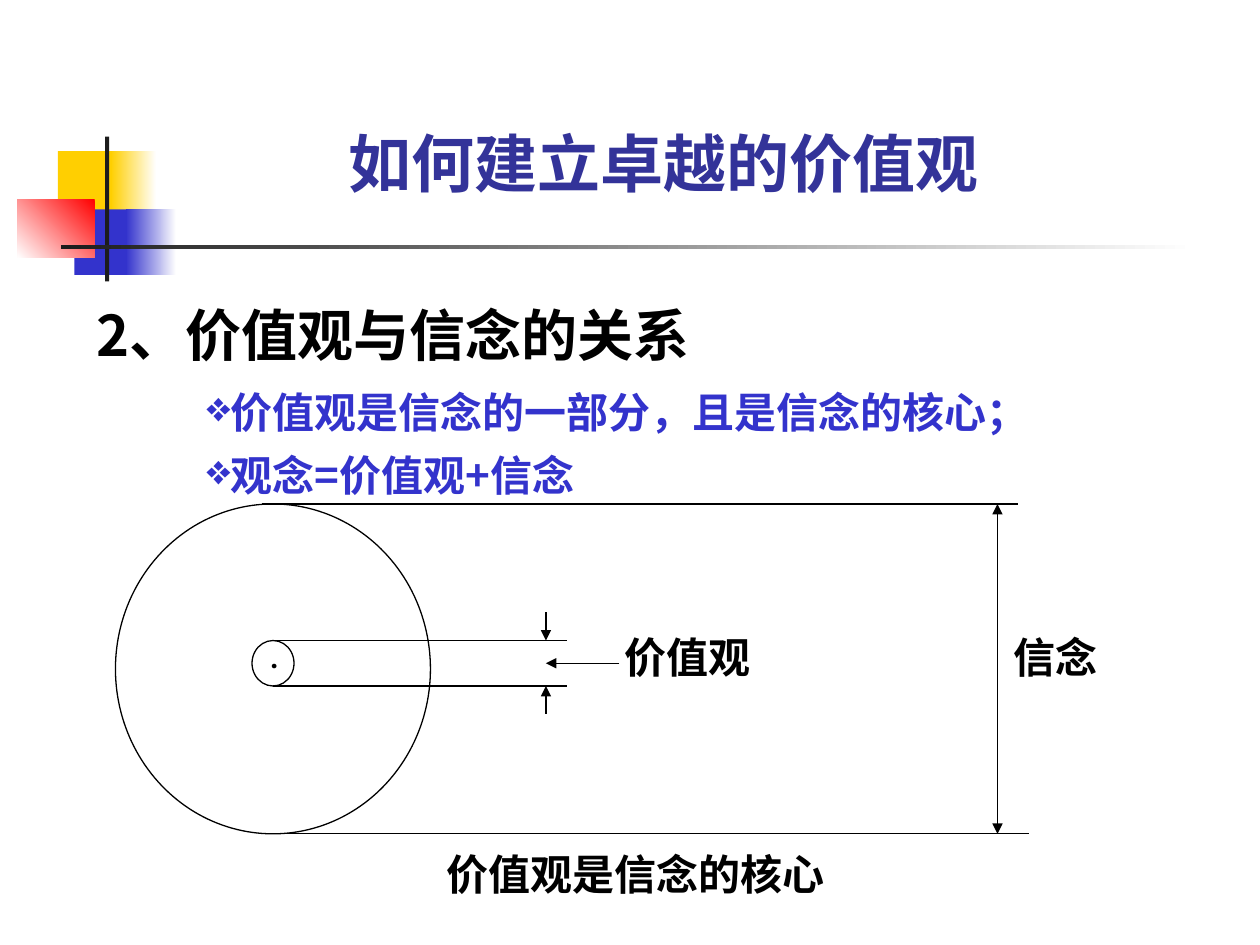
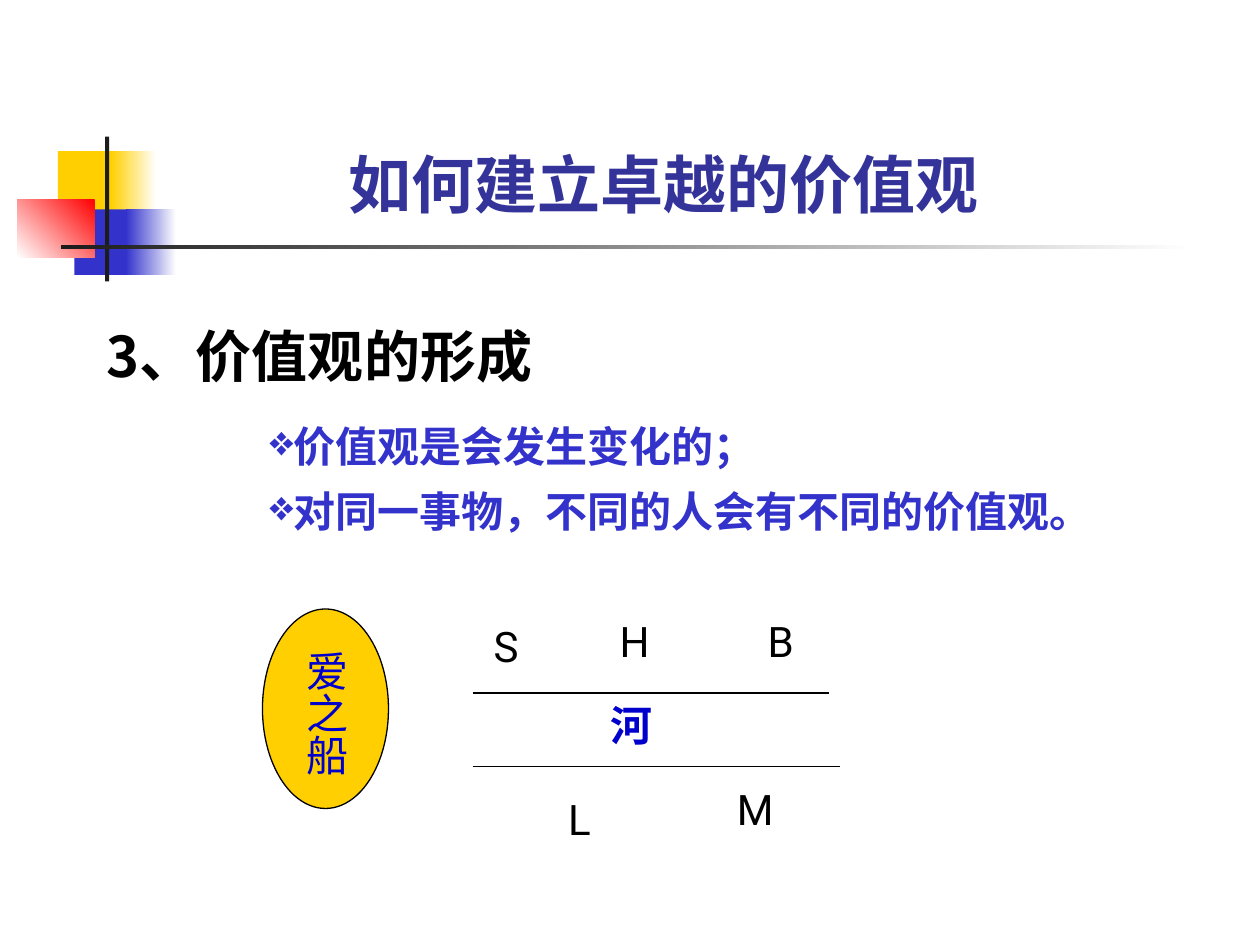
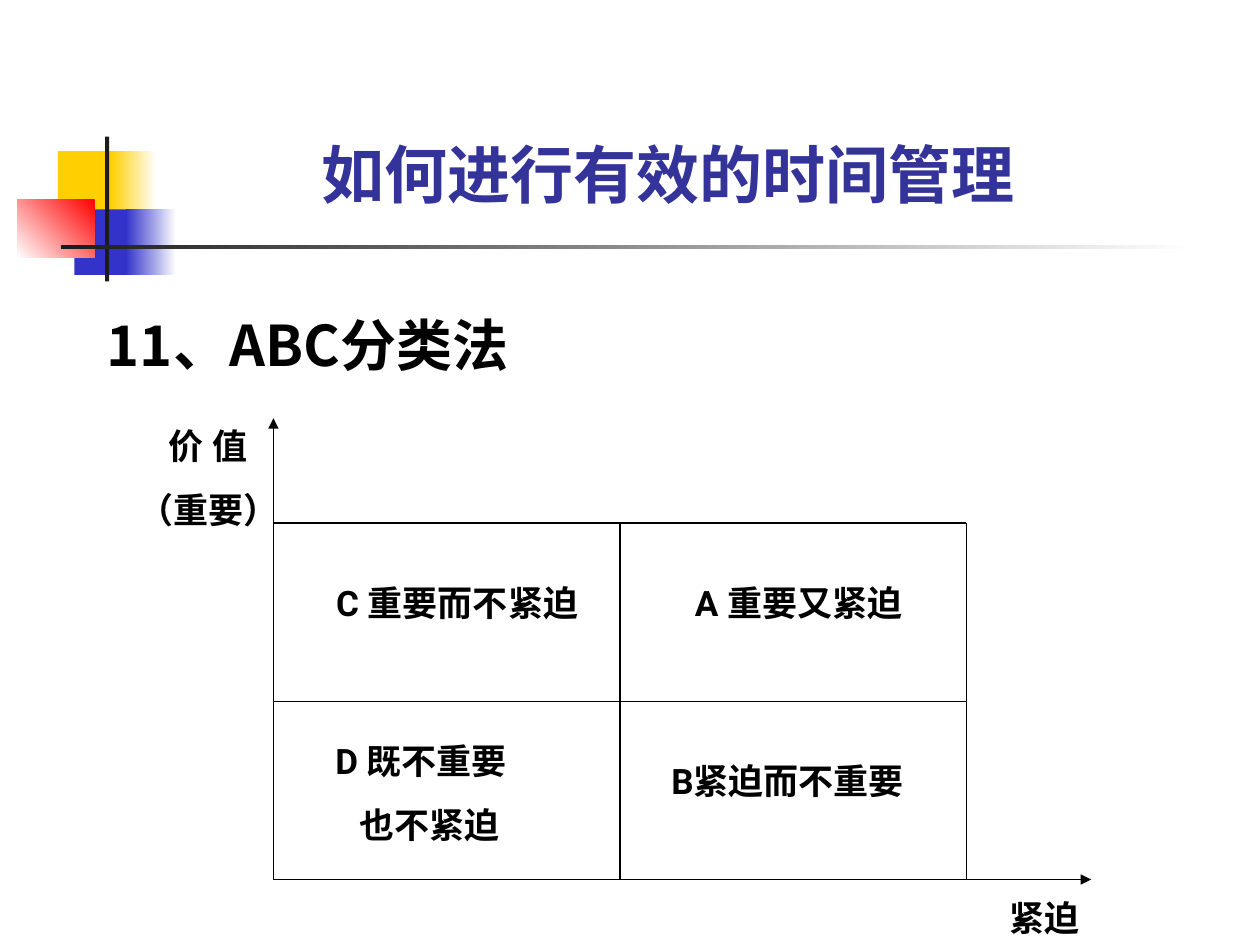
from lxml import etree
from pptx import Presentation
from pptx.dml.color import RGBColor
from pptx.enum.shapes import MSO_CONNECTOR, MSO_SHAPE
from pptx.enum.text import MSO_ANCHOR, PP_ALIGN
from pptx.oxml.ns import qn
from pptx.util import Pt

RECT, OVAL = MSO_SHAPE.RECTANGLE, MSO_SHAPE.OVAL
STRAIGHT = MSO_CONNECTOR.STRAIGHT
LEFT, CENTER = PP_ALIGN.LEFT, PP_ALIGN.CENTER
TOP, MIDDLE = MSO_ANCHOR.TOP, MSO_ANCHOR.MIDDLE

COLORS = {
    "black": "000000", "white": "FFFFFF", "charcoal": "1C1C1C",
    "yellow": "FFCF01", "blue": "3333CC", "red": "FF0000",
    "title": "333399", "river": "0000CC",
}
BODY_FONT, HEADING_FONT = "Roboto", "Noto Sans CJK SC"


def rgb(name):
    return RGBColor.from_string(COLORS[name])


class Deck:
    """Holds the shared style and the current slide; lengths are points."""

    def __init__(self):
        self.prs = Presentation()
        self.prs.slide_width, self.prs.slide_height = Pt(720), Pt(540)
        self.slide = None

    def new_slide(self, title, title_box, heading, heading_box):
        self.slide = self.prs.slides.add_slide(self.prs.slide_layouts[6])
        self.ornament()
        self.text([title], title_box, size=36, color="title", bold=True,
                  align=CENTER, anchor=MIDDLE)
        self.text([heading], heading_box, size=32, bold=True,
                  font=HEADING_FONT, before=8)

    def ornament(self):
        """Coloured squares with the crossing bars."""
        self.shape(RECT, (33.1, 86.4, 34.5, 37.4), "yellow")
        self.shape(RECT, (63.4, 86.4, 25.9, 37.4), ("white", "yellow", 180))
        self.shape(RECT, (42.5, 119.7, 33.1, 37.4), "blue")
        self.shape(RECT, (72, 119.7, 28.8, 37.4), ("white", "blue", 180))
        self.shape(RECT, (9.9, 113.8, 44.2, 33.4), ("red", "white", 225))
        self.shape(RECT, (60, 78, 2.4, 82.8), "charcoal")
        self.shape(RECT, (34.8, 140, 648, 2.6), ("white", "charcoal", 180))

    def shape(self, kind, box, fill=None, line=None):
        """Fill is a colour name, (start, end, angle) or None."""
        shape = self.slide.shapes.add_shape(kind, *map(Pt, box))
        shape.shadow.inherit = False
        if fill is None:
            shape.fill.background()
        elif isinstance(fill, str):
            shape.fill.solid()
            shape.fill.fore_color.rgb = rgb(fill)
        else:
            *ends, angle = fill
            shape.fill.gradient()
            shape.fill.gradient_angle = angle
            for stop, name in zip(shape.fill.gradient_stops, ends):
                stop.color.rgb = rgb(name)
        if line:
            shape.line.color.rgb = rgb(line)
            shape.line.width = Pt(0.75)
        else:
            shape.line.fill.background()
        return shape

    def line(self, x1, y1, x2, y2, arrows=()):
        """Arrows may hold headEnd (start) and tailEnd (finish)."""
        line = self.slide.shapes.add_connector(STRAIGHT, *map(Pt, (x1, y1, x2, y2)))
        line.line.color.rgb = rgb("black")
        line.line.width = Pt(0.75)
        properties = line._element.spPr
        for end in arrows:
            etree.SubElement(properties.find(qn("a:ln")), qn("a:" + end), type="triangle")
        etree.SubElement(properties, qn("a:effectLst"))

    def text(self, lines, box, anchor=TOP, inset=True, **style):
        frame = self.slide.shapes.add_textbox(*map(Pt, box)).text_frame
        frame.word_wrap = True
        frame.vertical_anchor = anchor
        if not inset:
            frame.margin_left = frame.margin_right = 0
            frame.margin_top = frame.margin_bottom = 0
        self.fill_text(frame, lines, **style)
        return frame

    def fill_text(self, frame, lines, size=24, color="black", bold=False,
                  font=BODY_FONT, align=LEFT, before=0, spacing=None, bullet=None):
        for i, words in enumerate(lines):
            paragraph = frame.add_paragraph() if i else frame.paragraphs[0]
            paragraph.text = words
            paragraph.alignment = align
            paragraph.space_before = Pt(before)
            if spacing:
                paragraph.line_spacing = spacing
            properties = paragraph._p.get_or_add_pPr()
            if bullet:
                self.indent(paragraph, 36, 39)
                bullet_color = etree.SubElement(properties, qn("a:buClr"))
                etree.SubElement(bullet_color, qn("a:srgbClr"), val=COLORS[color])
                etree.SubElement(properties, qn("a:buChar"), char=bullet)
            paragraph.font.size = Pt(size)
            paragraph.font.bold = bold
            paragraph.font.color.rgb = rgb(color)
            paragraph.font.name = font
            etree.SubElement(properties.find(qn("a:defRPr")), qn("a:ea"),
                             typeface=BODY_FONT)

    def indent(self, paragraph, margin, first=0):
        properties = paragraph._p.get_or_add_pPr()
        properties.set("marL", str(Pt(margin)))
        properties.set("indent", str(Pt(first)))

    def bullets(self, lines, left, top, spacing, font=BODY_FONT):
        self.text(lines, (left, top, 580, 104), color="blue", bold=True,
                  font=font, spacing=spacing, bullet="❖")


def beliefs_slide(deck):
    deck.new_slide("如何建立卓越的价值观", (180, 48, 398, 90),
                   "2、价值观与信念的关系", (48, 168, 405, 54))
    deck.bullets(["价值观是信念的一部分，且是信念的核心；", "观念=价值观+信念"],
                 36, 210, 1.25, HEADING_FONT)

    # Values as the core of the belief circle
    center, outer_top, outer_bottom = 156.25, 288, 476.5
    inner_top, inner_bottom = 366, 392
    deck.shape(OVAL, (66, outer_top, 180, outer_bottom - outer_top), line="black")
    deck.shape(OVAL, (144, inner_top, 24, inner_bottom - inner_top), line="black")
    deck.text(["·"], (center - 11.5, 376, 24, 8), align=CENTER, anchor=MIDDLE, inset=False)

    # Dimension lines
    deck.line(150, outer_top, 582, outer_top)
    deck.line(center, outer_bottom, 588, outer_bottom)
    deck.line(570, outer_top, 570, outer_bottom, ("headEnd", "tailEnd"))
    for y, arrow_start in ((inner_top, 350), (inner_bottom, 408)):
        deck.line(center, y, 324, y)
        deck.line(312, arrow_start, 312, y, ("tailEnd",))
    deck.line(354, 379, 312, 379, ("tailEnd",))

    # Labels
    for label, box in (("信念", (558, 353, 90, 45)),
                       ("价值观", (348, 353, 90, 45)),
                       ("价值观是信念的核心", (228, 477, 270, 45))):
        deck.text([label], box, bold=True, align=CENTER, anchor=MIDDLE)


def formation_slide(deck):
    deck.new_slide("如何建立卓越的价值观", (180, 60, 398, 90),
                   "3、价值观的形成", (54, 180, 291, 51))
    deck.bullets(["价值观是会发生变化的；", "对同一事物，不同的人会有不同的价值观。"],
                 72, 228, 1.3)

    # River banks and the people on them
    deck.line(270, 396, 474, 396)
    deck.line(270, 438, 480, 438)
    for person, left, top in (("S", 275, 351), ("H", 347, 348), ("B", 431.5, 348),
                              ("L", 317.5, 450), ("M", 414, 444)):
        deck.text([person], (left, top, 40, 36))
    deck.text(["河"], (342, 396, 45, 36), color="river", bold=True)

    # Boat
    boat = deck.shape(OVAL, (150, 348, 72, 114), "yellow", "black").text_frame
    boat.word_wrap = False
    boat.vertical_anchor = MIDDLE
    boat.margin_left = boat.margin_right = Pt(3.6)
    boat.margin_top = boat.margin_bottom = Pt(7.2)
    boat._txBody.bodyPr.set("vert", "eaVert")
    deck.fill_text(boat, ["爱之船"], color="river", align=CENTER)


def priorities_slide(deck):
    deck.new_slide("如何进行有效的时间管理", (138, 54, 488, 90),
                   "11、ABC分类法", (54, 174, 480, 51))

    # Axes and two-by-two grid
    left, top, cell_width, cell_height = 156.25, 298.8, 198, 101.9
    right, bottom = left + 2 * cell_width, top + 2 * cell_height
    deck.line(left, bottom, left, 239, ("tailEnd",))
    deck.line(left, bottom, 623.5, bottom, ("tailEnd",))
    for step in (0, 1):
        y = top + step * cell_height
        deck.line(left, y, right, y)
        x = left + (step + 1) * cell_width
        deck.line(x, top, x, bottom)

    # Quadrants and axis names
    label_style = {"size": 20, "bold": True, "before": 12.5}
    for label, box in (("C 重要而不紧迫", (185, 329, 157, 32)),
                       ("A 重要又紧迫", (390, 329, 150, 32)),
                       ("B紧迫而不重要", (376.5, 430.5, 165, 32)),
                       ("紧迫", (570, 509, 65, 31))):
        deck.text([label], box, **label_style)
    neither = deck.text(["D 既不重要", "也不紧迫"], (184.5, 419, 135, 68), **label_style)
    deck.indent(neither.paragraphs[1], 14)
    deck.text(["价 值", "（重要）"], (64, 239, 110, 68), align=CENTER, **label_style)


def main():
    deck = Deck()
    beliefs_slide(deck)
    formation_slide(deck)
    priorities_slide(deck)
    deck.prs.save("out.pptx")


if __name__ == "__main__":
    main()
